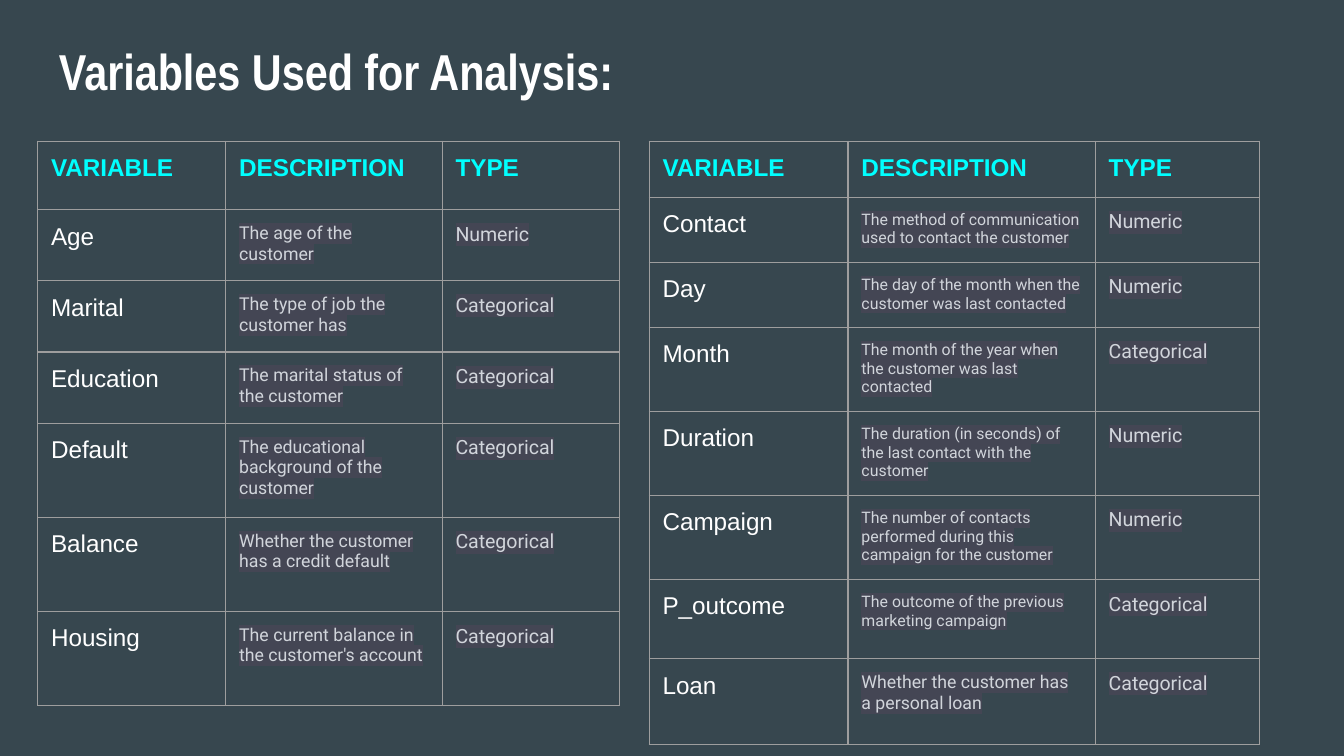
import dataclasses

import pptx
import pptx.dml.color
import pptx.oxml
import pptx.oxml.ns
import pptx.util
from pptx.util import Inches


@dataclasses.dataclass(frozen=True)
class Theme:
    background: str = "37474F"
    white: str = "FFFFFF"
    header: str = "00FFFF"
    muted: str = "D1D5DB"
    highlight: str = "444654"
    border: str = "9E9E9E"
    border_width: float = 0.75
    title_font: str = "Arial Narrow"
    name_font: str = "Arial"
    detail_font: str = "Roboto"
    title_size: float = 27
    name_size: float = 13
    type_size: float = 10.5
    description_size: float = 9.5
    small_description_size: float = 8.5
    inset: float = 0.1


THEME = Theme()
HEADINGS = ("VARIABLE", "DESCRIPTION", "TYPE")

# Each variable: name, description, type, description size, row height
CUSTOMER_VARIABLES = [
    (name, description, kind, THEME.description_size, height)
    for name, description, kind, height in (
        ("Age", "The age of the customer", "Numeric", 0.53),
        ("Marital", "The type of job the customer has", "Categorical", 0.53),
        ("Education", "The marital status of the customer", "Categorical", 0.53),
        ("Default", "The educational background of the customer", "Categorical", 0.7),
        ("Balance", "Whether the customer has a credit default", "Categorical", 0.7),
        ("Housing", "The current balance in the customer's account", "Categorical", 0.7),
    )
]
CONTACT_VARIABLES = [
    (name, description, kind, THEME.small_description_size, height)
    for name, description, kind, height in (
        ("Contact", "The method of communication used to contact the customer", "Numeric", 0.21),
        ("Day", "The day of the month when the customer was last contacted", "Numeric", 0.42),
        ("Month", "The month of the year when the customer was last contacted", "Categorical", 0.42),
        ("Duration", "The duration (in seconds) of the last contact with the customer", "Numeric", 0.42),
        ("Campaign", "The number of contacts performed during this campaign for the customer",
         "Numeric", 0.42),
        ("P_outcome", "The outcome of the previous marketing campaign", "Categorical", 0.59),
    )
] + [
    ("Loan", "Whether the customer has a personal loan", "Categorical", THEME.description_size, 0.64),
]


def rgb(value):
    return pptx.dml.color.RGBColor.from_string(value)


def set_insets(target):
    for side in ("left", "top", "right", "bottom"):
        setattr(target, f"margin_{side}", Inches(THEME.inset))


def write(text_frame, text, font_name, size, color, bold=False):
    paragraph = text_frame.paragraphs[0]
    paragraph.line_spacing = 1.0
    paragraph.space_before = paragraph.space_after = pptx.util.Pt(0)
    run = paragraph.add_run()
    run.text = text
    font = paragraph.font
    font.name, font.size, font.bold = font_name, pptx.util.Pt(size), bold
    font.color.rgb = rgb(color)
    return run


def highlight(run):
    run._r.get_or_add_rPr().append(pptx.oxml.parse_xml(
        f'<a:highlight {pptx.oxml.ns.nsdecls("a")}>'
        f'<a:srgbClr val="{THEME.highlight}"/></a:highlight>'))


def style_cell(cell):
    """Give a cell four thin borders, no fill and even insets."""
    set_insets(cell)
    properties = cell._tc.get_or_add_tcPr()
    for side in "LRTB":
        properties.append(pptx.oxml.parse_xml(
            f'<a:ln{side} {pptx.oxml.ns.nsdecls("a")} w="{pptx.util.Pt(THEME.border_width)}">'
            f'<a:solidFill><a:srgbClr val="{THEME.border}"/></a:solidFill></a:ln{side}>'))
    cell.fill.background()


def add_title(slide, left, top, width, height):
    box = slide.shapes.add_textbox(Inches(left), Inches(top), Inches(width), Inches(height))
    box.text_frame.word_wrap = True
    set_insets(box.text_frame)
    write(box.text_frame, "Variables Used for Analysis:", THEME.title_font,
          THEME.title_size, THEME.white, bold=True)


def add_variable_table(slide, left, top, size, column_widths, header_height, variables):
    """Add a table whose frame is a square of the given size; rows grow with their text."""
    heights = [header_height] + [variable[-1] for variable in variables]
    frame = slide.shapes.add_table(
        len(heights), len(column_widths), Inches(left), Inches(top), Inches(size), Inches(size))
    table = frame.table
    table.first_row = table.horz_banding = False
    for column, width in zip(table.columns, column_widths):
        column.width = Inches(width)
    for row, height in zip(table.rows, heights):
        row.height = Inches(height)
    frame.width = frame.height = Inches(size)
    for cell in table.iter_cells():
        style_cell(cell)

    for column, heading in enumerate(HEADINGS):
        write(table.cell(0, column).text_frame, heading, THEME.name_font,
              THEME.name_size, THEME.header, bold=True)
    for row, (name, description, kind, description_size, _) in enumerate(variables, start=1):
        write(table.cell(row, 0).text_frame, name, THEME.name_font, THEME.name_size, THEME.white)
        details = ((description, description_size), (kind, THEME.type_size))
        for column, (text, text_size) in enumerate(details, start=1):
            highlight(write(table.cell(row, column).text_frame, text,
                            THEME.detail_font, text_size, THEME.muted))


def main():
    presentation = pptx.Presentation()
    presentation.slide_width = Inches(10)
    presentation.slide_height = presentation.slide_width * 9 // 16
    slide = presentation.slides.add_slide(presentation.slide_layouts[6])
    slide.background.fill.solid()
    slide.background.fill.fore_color.rgb = rgb(THEME.background)

    add_title(slide, 0.34, 0.2, 9.32, 0.63)
    top, size = 1.05, 3.28
    add_variable_table(slide, 0.28, top, size, (1.4, 1.61, 1.32), 0.51, CUSTOMER_VARIABLES)
    add_variable_table(slide, 4.83, top, size, (1.48, 1.84, 1.22), 0.28, CONTACT_VARIABLES)
    presentation.save("out.pptx")


if __name__ == "__main__":
    main()
